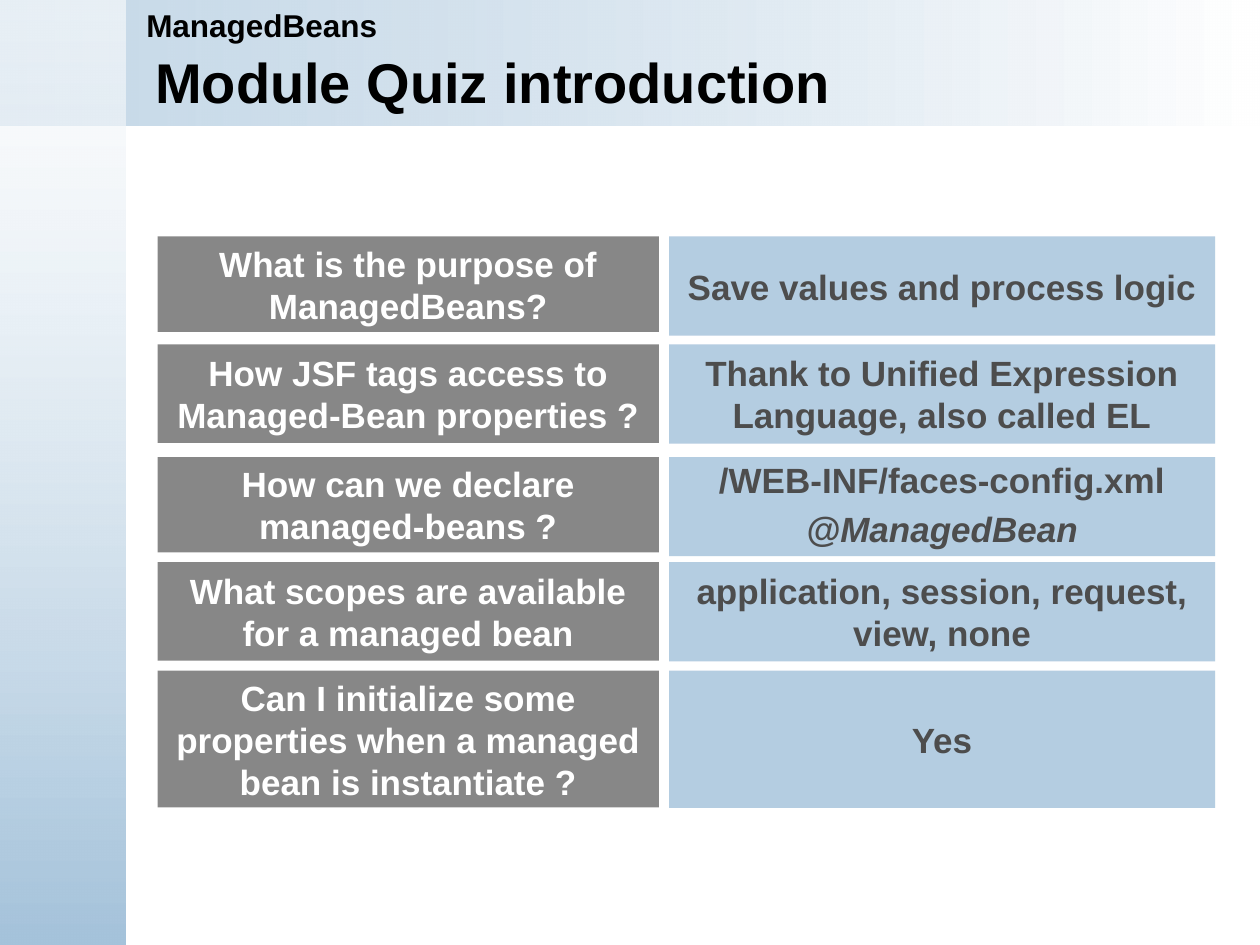
from dataclasses import dataclass

from lxml import etree
from pptx import Presentation
from pptx.dml.color import RGBColor
from pptx.enum import shapes, text
from pptx.oxml import ns
from pptx.util import Pt


@dataclass(frozen=True)
class Theme:
    font: str = "Arial"
    ink: str = "000000"
    paper: str = "FFFFFF"
    gray: str = "4D4D4D"
    blue: str = "A5C3DB"
    title_size: int = 32
    topic_size: int = 18
    card_size: int = 20


THEME = Theme()
WIDTH, HEIGHT, BAR = 720, 540, 72
QUESTION_LEFT, QUESTION_WIDTH = 90, 286.5
ANSWER_LEFT, ANSWER_WIDTH = 382.3, 312

# top, question height, answer height, question, answer lines
QUIZ = [
    (135.1, 54.5, 56.7, "What is the purpose of ManagedBeans?",
     ["Save values and process logic"]),
    (196.8, 56.3, 56.7, "How JSF tags access to Managed-Bean properties ?",
     ["Thank to Unified Expression Language, also called EL"]),
    (261.2, 54.5, 56.7, "How can we declare managed-beans ?",
     ["/WEB-INF/faces-config.xml", "@ManagedBean"]),
    (321.3, 56.3, 56.7, "What scopes are available for a managed bean",
     ["application, session, request, view, none"]),
    (383.2, 78.3, 78.5,
     "Can I initialize some properties when a managed bean is instantiate ?",
     ["Yes"]),
]


def set_alpha(color, percent):
    alpha = etree.SubElement(color, ns.qn("a:alpha"))
    alpha.set("val", str(percent * 1000))


def style(paragraph, size, color):
    font = paragraph.font
    font.name, font.size, font.bold = THEME.font, Pt(size), True
    font.color.rgb = RGBColor.from_string(color)


def add_rectangle(slide, left, top, width, height):
    rectangle = slide.shapes.add_shape(
        shapes.MSO_SHAPE.RECTANGLE, Pt(left), Pt(top), Pt(width), Pt(height))
    rectangle.shadow.inherit = False
    rectangle.line.fill.background()
    return rectangle


def add_gradient_bar(slide, width, height, colors, angle, alpha):
    """Add a bar at the top left corner; alpha applies to its first colour."""
    bar = add_rectangle(slide, 0, 0, width, height)
    bar.fill.gradient()
    bar.fill.gradient_angle = angle
    for stop, color, position in zip(bar.fill.gradient_stops, colors, (0, 1)):
        stop.color.rgb = RGBColor.from_string(color)
        stop.position = position
    set_alpha(bar.element.spPr.findall(".//" + ns.qn("a:srgbClr"))[0], alpha)


def add_card(slide, box, lines, fill, alpha, color):
    card = add_rectangle(slide, *box)
    card.fill.solid()
    card.fill.fore_color.rgb = RGBColor.from_string(fill)
    set_alpha(card.element.spPr.find(".//" + ns.qn("a:srgbClr")), alpha)
    frame = card.text_frame
    frame.word_wrap = True
    frame.vertical_anchor = text.MSO_ANCHOR.MIDDLE
    frame.text = "\n".join(lines)
    for paragraph in frame.paragraphs:
        paragraph.alignment = text.PP_ALIGN.CENTER
        style(paragraph, THEME.card_size, color)
    return frame


def add_topic(slide, topic):
    box = slide.shapes.add_textbox(Pt(76.5), Pt(0), Pt(643.5), Pt(62))
    frame = box.text_frame
    frame.word_wrap = True
    frame.text = topic
    style(frame.paragraphs[0], THEME.topic_size, THEME.ink)


def set_title(slide, words):
    title = slide.shapes.title
    title.left, title.top = Pt(81.5), Pt(26)
    title.width, title.height = Pt(608.5), Pt(41)
    frame = title.text_frame
    frame.text = words
    frame.word_wrap = True
    frame.auto_size = text.MSO_AUTO_SIZE.NONE
    frame.vertical_anchor = text.MSO_ANCHOR.MIDDLE
    frame.paragraphs[0].alignment = text.PP_ALIGN.LEFT
    style(frame.paragraphs[0], THEME.title_size, THEME.ink)
    # Bring the title in front of the bars
    title.element.getparent().append(title.element)


def add_quiz(slide):
    for top, question_height, answer_height, question, answer in QUIZ:
        add_card(slide, (QUESTION_LEFT, top, QUESTION_WIDTH, question_height),
                 [question], THEME.gray, 67, THEME.paper)
        frame = add_card(slide, (ANSWER_LEFT, top, ANSWER_WIDTH, answer_height),
                         answer, THEME.blue, 83, THEME.gray)
        if len(answer) > 1:
            for paragraph in frame.paragraphs:
                paragraph.line_spacing = 0.9
                paragraph.space_after = Pt(6)
            frame.paragraphs[-1].font.italic = True


def main():
    deck = Presentation()
    deck.slide_width, deck.slide_height = Pt(WIDTH), Pt(HEIGHT)
    slide = deck.slides.add_slide(deck.slide_layouts.get_by_name("Title Only"))
    add_gradient_bar(slide, WIDTH, BAR, (THEME.blue, THEME.paper), 0, 62)
    add_gradient_bar(slide, BAR, HEIGHT, (THEME.paper, THEME.blue), 270, 59)
    set_title(slide, "Module Quiz introduction")
    add_topic(slide, "ManagedBeans")
    add_quiz(slide)
    deck.save("out.pptx")


if __name__ == "__main__":
    main()
